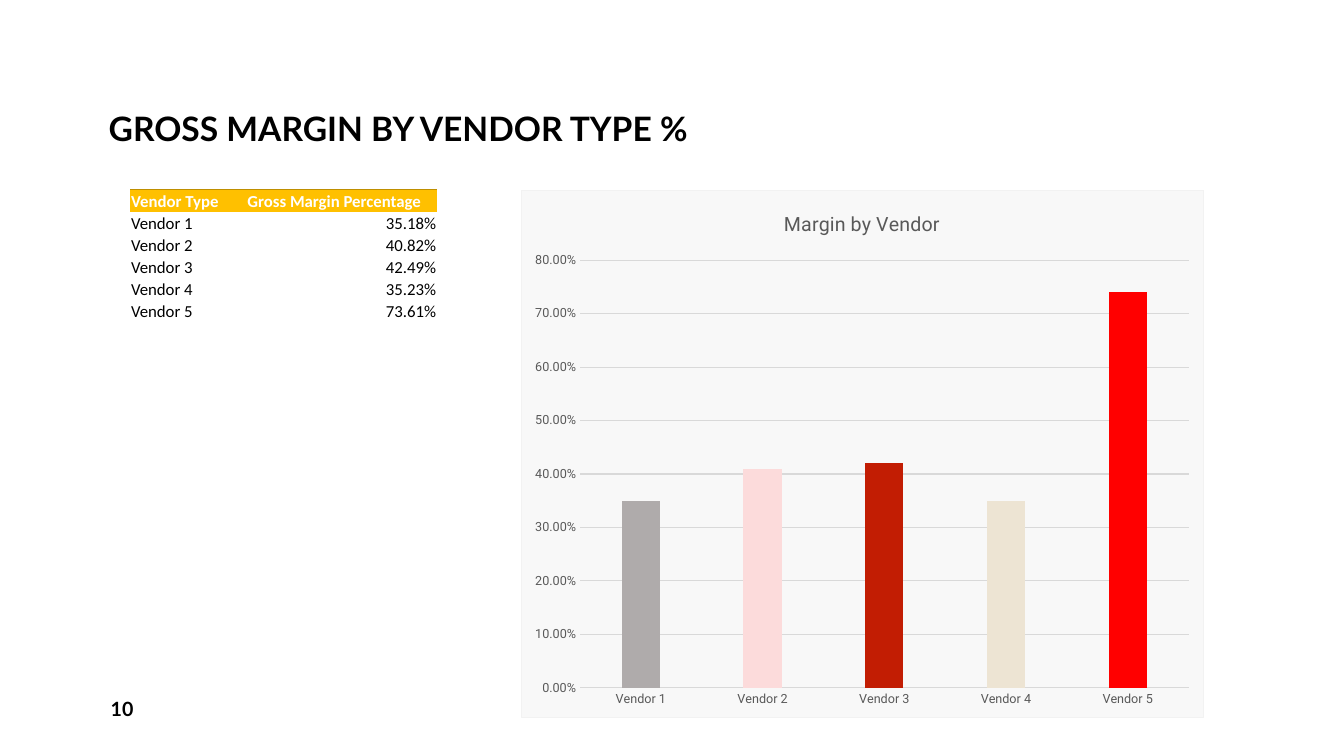
from dataclasses import dataclass

from lxml import etree
from pptx import Presentation
from pptx import util as u
from pptx.chart.data import CategoryChartData
from pptx.dml.color import RGBColor
from pptx.enum import chart as charts, text
from pptx.oxml import parse_xml
from pptx.oxml.ns import nsdecls, qn

TITLE = "GROSS MARGIN BY VENDOR TYPE %"
PAGE_NUMBER = "10"
HEADERS = ("Vendor Type", "Gross Margin Percentage")
CHART_TITLE = "Margin by Vendor"
VENDORS = [  # name, margin in the table, margin in the chart, column colour
    ("Vendor 1", "35.18%", 0.35, "AFABAB"),
    ("Vendor 2", "40.82%", 0.41, "FCDBDB"),
    ("Vendor 3", "42.49%", 0.42, "C21D03"),
    ("Vendor 4", "35.23%", 0.35, "EDE4D3"),
    ("Vendor 5", "73.61%", 0.74, "FF0000"),
]

# Left, top, width, height in points
TITLE_BOX = (70.4, 5.8, 819.4, 104.4)
NUMBER_BOX = (72, 491.8, 210.2, 28.8)
TABLE_BOX = (92.9, 135.4, 219.5, 94.5)
CHART_BOX = (372.2, 135.4, 487.8, 377.6)
COLUMN_WIDTHS = (83.1, 136.4)

# Points from the top left corner of the chart
PLOT_LAYOUT = {"x": 41.8, "y": 50.2, "w": 435.4, "h": 306.2}
TITLE_LAYOUT = {"x": 185.1, "y": 12.2}


@dataclass(frozen=True)
class Theme:
    heading_font: str = "Lato"
    table_font: str = "Calibri"
    chart_font: str = "Roboto"
    black: str = "000000"
    white: str = "FFFFFF"
    header_fill: str = "FFC000"
    header_line: str = "BF8F00"
    chart_fill: str = "F2F2F2"
    chart_text: str = "595959"
    grid: str = "D9D9D9"
    title_size: float = 24
    number_size: float = 14
    table_size: float = 12
    chart_title_size: float = 14
    chart_size: float = 10
    axis_size: float = 9
    line: float = 0.75


THEME = Theme()


def points(box):
    return [u.Pt(value) for value in box]


def set_font(font, name, size, color, bold=False):
    font.name, font.size, font.bold = name, u.Pt(size), bold
    font.color.rgb = RGBColor.from_string(color)


def add_run(paragraph, words, *style):
    run = paragraph.add_run()
    run.text = words
    set_font(run.font, *style)


def set_line(line, color):
    line.color.rgb = RGBColor.from_string(color)
    line.width = u.Pt(THEME.line)


def add_title(slide):
    title = slide.shapes.title
    title.left, title.top, title.width, title.height = points(TITLE_BOX)
    title.text_frame.vertical_anchor = text.MSO_ANCHOR.BOTTOM
    paragraph = title.text_frame.paragraphs[0]
    paragraph.alignment = text.PP_ALIGN.LEFT
    paragraph.line_spacing = 0.9
    add_run(paragraph, TITLE, THEME.heading_font, THEME.title_size, THEME.black, True)


def add_page_number(slide):
    frame = slide.shapes.add_textbox(*points(NUMBER_BOX)).text_frame
    frame.word_wrap = True
    frame.vertical_anchor = text.MSO_ANCHOR.MIDDLE
    add_run(frame.paragraphs[0], PAGE_NUMBER,
            THEME.heading_font, THEME.number_size, THEME.black, True)


def fill_cell(cell, words, is_header, is_number):
    cell.margin_left = cell.margin_right = cell.margin_top = u.Pt(0.75)
    cell.margin_bottom = 0
    cell.vertical_anchor = text.MSO_ANCHOR.BOTTOM
    paragraph = cell.text_frame.paragraphs[0]
    if is_number:
        paragraph.alignment = text.PP_ALIGN.RIGHT
    add_run(paragraph, words, THEME.table_font, THEME.table_size,
            THEME.white if is_header else THEME.black, is_header)
    if is_header:
        cell.fill.solid()
        cell.fill.fore_color.rgb = RGBColor.from_string(THEME.header_fill)
        cell._tc.get_or_add_tcPr().insert(0, parse_xml(
            f'<a:lnT {nsdecls("a")} w="{u.Pt(1)}"><a:solidFill>'
            f'<a:srgbClr val="{THEME.header_line}"/></a:solidFill></a:lnT>'))
    else:
        cell.fill.background()


def add_margin_table(slide):
    rows = [HEADERS] + [(name, label) for name, label, _, _ in VENDORS]
    table = slide.shapes.add_table(len(rows), len(HEADERS), *points(TABLE_BOX)).table
    table.first_row = table.horz_banding = False
    # "No Style, No Grid"
    table._tbl.tblPr.find(qn("a:tableStyleId")).text = "{2D5ABB26-0587-4C30-8999-92F81FD0307C}"
    for column, width in zip(table.columns, COLUMN_WIDTHS):
        column.width = u.Pt(width)
    for i, row in enumerate(rows):
        for j, words in enumerate(row):
            fill_cell(table.cell(i, j), words, i == 0, i > 0 and j == 1)


def place(element, index, lengths, inner=False):
    """Give a chart title or plot area a manual layout, as its child at index."""
    for old in element.findall(qn("c:layout")):
        element.remove(old)
    layout = etree.Element(qn("c:layout"))
    manual = etree.SubElement(layout, qn("c:manualLayout"))
    width, height = CHART_BOX[2:]
    settings = {"layoutTarget": "inner"} if inner else {}
    settings.update(xMode="edge", yMode="edge")
    for tag, length in lengths.items():
        settings[tag] = length / (width if tag in "xw" else height)
    for tag, value in settings.items():
        etree.SubElement(manual, qn(f"c:{tag}")).set("val", str(value))
    element.insert(index, layout)


def add_chart_background(chart):
    color = f'<a:srgbClr val="{THEME.chart_fill}"'
    chart._chartSpace.find(qn("c:chart")).addnext(parse_xml(
        f'<c:spPr {nsdecls("c", "a")}>'
        f'<a:solidFill>{color}><a:alpha val="50000"/></a:srgbClr></a:solidFill>'
        f'<a:ln w="{u.Pt(THEME.line)}"><a:solidFill>{color}/></a:solidFill></a:ln></c:spPr>'))


def add_margin_chart(slide):
    data = CategoryChartData(number_format="0.00%")
    data.categories = [name for name, _, _, _ in VENDORS]
    data.add_series("Series 1", [margin for _, _, margin, _ in VENDORS])
    chart = slide.shapes.add_chart(
        charts.XL_CHART_TYPE.COLUMN_CLUSTERED, *points(CHART_BOX), data).chart
    set_font(chart.font, THEME.chart_font, THEME.chart_size, THEME.black)
    add_chart_background(chart)
    chart.has_legend = False
    chart.has_title = True
    add_run(chart.chart_title.text_frame.paragraphs[0], CHART_TITLE,
            THEME.chart_font, THEME.chart_title_size, THEME.chart_text)
    place(chart.chart_title._element, 1, TITLE_LAYOUT)
    place(chart._chartSpace.find(".//" + qn("c:plotArea")), 0, PLOT_LAYOUT, inner=True)

    for axis in (chart.category_axis, chart.value_axis):
        axis.major_tick_mark = axis.minor_tick_mark = charts.XL_TICK_MARK.NONE
        set_font(axis.tick_labels.font, THEME.chart_font, THEME.axis_size, THEME.chart_text)
    set_line(chart.category_axis.format.line, THEME.grid)
    values = chart.value_axis
    values.minimum_scale, values.maximum_scale, values.major_unit = 0, 0.8, 0.1
    values.format.line.fill.background()
    set_line(values.major_gridlines.format.line, THEME.grid)
    values.tick_labels.number_format = "0.00%"
    values.tick_labels.number_format_is_linked = False

    plot = chart.plots[0]
    plot.gap_width, plot.overlap, plot.vary_by_categories = 219, -27, False
    for i, (_, _, _, color) in enumerate(VENDORS):
        fill = plot.series[0].points[i].format.fill
        fill.solid()
        fill.fore_color.rgb = RGBColor.from_string(color)


def main():
    presentation = Presentation()
    presentation.slide_width, presentation.slide_height = u.Pt(960), u.Pt(540)
    slide = presentation.slides.add_slide(presentation.slide_layouts[5])
    add_page_number(slide)
    add_title(slide)
    add_margin_table(slide)
    add_margin_chart(slide)
    presentation.save("out.pptx")


if __name__ == "__main__":
    main()
